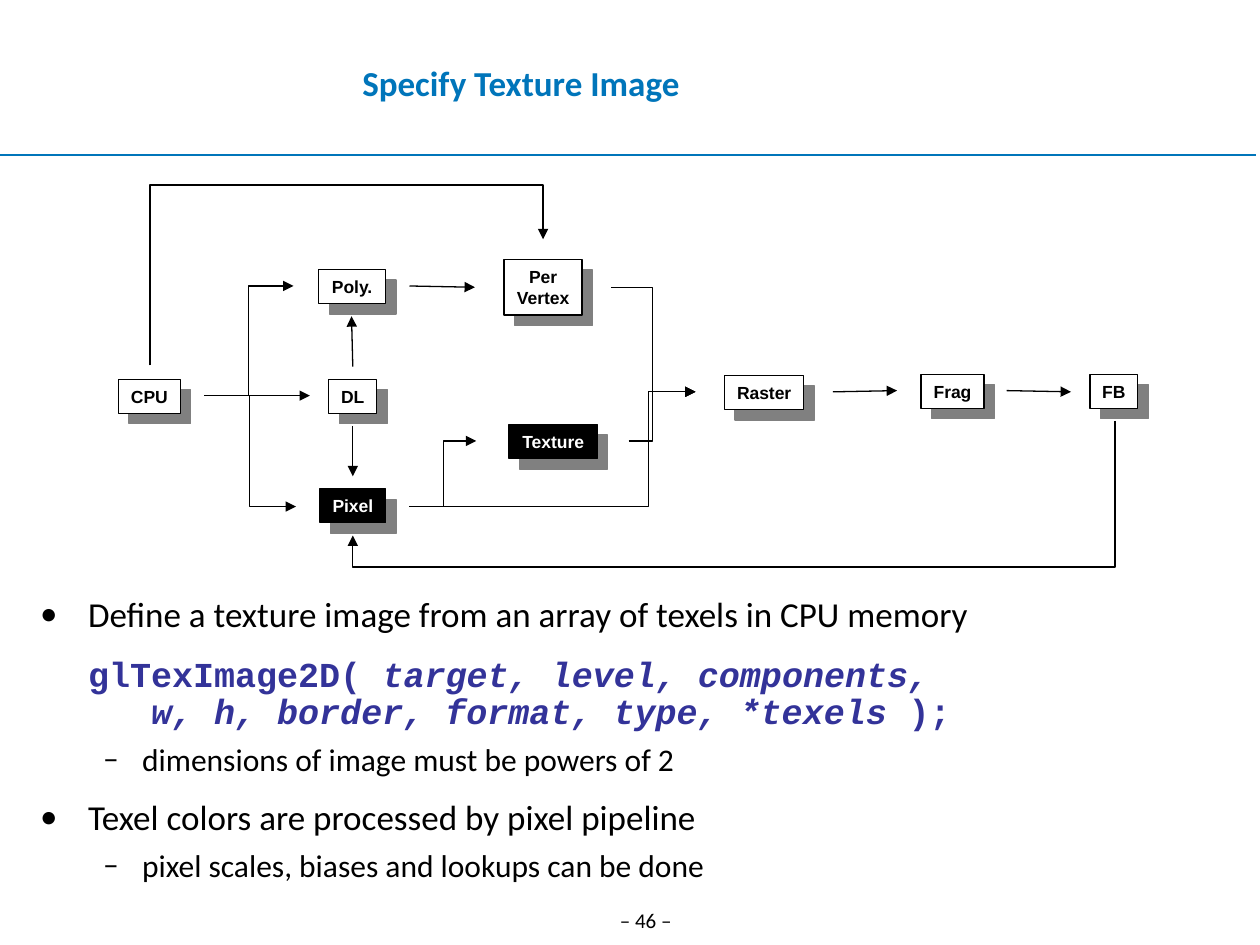
import pptx
import pptx.dml.color
import pptx.enum.shapes
import pptx.enum.text
import pptx.oxml
import pptx.oxml.ns
import pptx.util
from pptx.util import Inches

BLACK, WHITE, BLUE, CODE = "000000", "FFFFFF", "0075BA", "333399"
ALIGN = pptx.enum.text.PP_ALIGN
ANCHOR = pptx.enum.text.MSO_ANCHOR
LINK = pptx.enum.shapes.MSO_CONNECTOR
RECT = pptx.enum.shapes.MSO_SHAPE.RECTANGLE

BOXES = [
    ("CPU", 0.94, 3.01, 0.49, 0.27, WHITE),
    ("DL", 2.61, 3.01, 0.38, 0.27, WHITE),
    ("Poly.", 2.53, 2.14, 0.53, 0.27, WHITE),
    ("Per\nVertex", 4, 2.06, 0.62, 0.44, WHITE),
    ("Raster", 5.75, 2.98, 0.63, 0.27, WHITE),
    ("Frag", 7.31, 2.97, 0.5, 0.27, WHITE),
    ("FB", 8.65, 2.97, 0.38, 0.27, WHITE),
    ("Pixel", 2.54, 3.88, 0.52, 0.27, BLACK),
    ("Texture", 4.04, 3.37, 0.7, 0.27, BLACK),
]
# Start and end points
ARROWS = [
    (1.62, 3.14, 2.46, 3.14),
    (2.8, 2.91, 2.79, 2.51),
    (2.8, 3.38, 2.8, 3.78),
    (3.25, 2.27, 3.77, 2.28),
    (7.99, 3.1, 8.5, 3.11),
    (6.61, 3.11, 7.12, 3.1),
]
# Start and end points, then the x of the upright middle part
BENDS = [
    (1.62, 3.14, 2.33, 2.27, 1.97),
    (1.62, 3.14, 2.35, 4.02, 1.98),
    (3.25, 4.02, 3.78, 3.5, 3.52),
    (3.25, 4.02, 5.52, 3.11, 5.15),
    (4.99, 3.5, 5.52, 3.11, 5.18),
    (4.85, 2.28, 5.52, 3.11, 5.18),
]
# Start and end points, then the y of the level middle part
LOOPS = [
    (1.19, 2.9, 4.31, 1.9, 1.47),
    (8.85, 3.34, 2.8, 4.25, 4.5),
]

HEAD = dict(left=0.38, first=-0.38, mark="•", space=0.9, before=12.5, size=20)
CALL = dict(left=0.38, first=0, mark=None, space=0.9, before=12.5, size=20)
ITEM = dict(left=0.81, first=-0.31, mark="–", space=1.0, before=4.5, size=18)
PLAIN = dict(name="Calibri")
BOLD = dict(name="Courier New", bold=True)
SLANT = dict(BOLD, italic=True)

BODY = [
    (HEAD, BLACK, [("Define a texture image from an array of texels in CPU memory", PLAIN)]),
    (CALL, CODE, [("glTexImage2D( ", BOLD),
                  ("target, level, components,", SLANT),
                  ("\n", None),
                  ("   w, h, border, format, type, *texels", SLANT),
                  (" );", BOLD)]),
    (ITEM, BLACK, [("dimensions of image must be powers of 2", PLAIN)]),
    (HEAD, BLACK, [("Texel colors are processed by pixel pipeline", PLAIN)]),
    (ITEM, BLACK, [("pixel scales, biases and lookups can be done", PLAIN)]),
]


def rgb(code):
    return pptx.dml.color.RGBColor.from_string(code)


def add(node, tag, **attrs):
    """Append a drawing element with its attributes."""
    kid = pptx.oxml.parse_xml(f"<a:{tag} {pptx.oxml.ns.nsdecls('a')}/>")
    for key, val in attrs.items():
        kid.set(key, str(val))
    node.append(kid)
    return kid


def style(font, color, **values):
    for key, val in values.items():
        setattr(font, key, pptx.util.Pt(val) if key == "size" else val)
    font.color.rgb = rgb(color)


def add_text(slide, place, anchor=ANCHOR.TOP):
    frame = slide.shapes.add_textbox(*map(Inches, place)).text_frame
    frame.word_wrap = True
    frame.vertical_anchor = anchor
    return frame


def add_label(slide, place, text, anchor=ANCHOR.TOP, **font):
    """Centred single line of text."""
    para = add_text(slide, place, anchor).paragraphs[0]
    para.alignment = ALIGN.CENTER
    run = para.add_run()
    run.text = text
    style(run.font, name="Calibri", **font)


def add_body(slide):
    frame = add_text(slide, (0.22, 4.69, 8.48, 2.6))
    for num, (form, color, runs) in enumerate(BODY):
        para = frame.add_paragraph() if num else frame.paragraphs[0]
        para.line_spacing = form["space"]
        para.space_before = pptx.util.Pt(form["before"] if num else 0)
        para.level = int(form is ITEM)
        props = para._p.get_or_add_pPr()
        props.set("marL", str(Inches(form["left"])))
        props.set("indent", str(Inches(form["first"])))
        if form["mark"]:
            add(props, "buFont", typeface="Calibri")
            add(props, "buChar", char=form["mark"])
        else:
            add(props, "buNone")
        for text, font in runs:
            if text == "\n":
                para.add_line_break()
                continue
            run = para.add_run()
            run.text = text
            style(run.font, color, size=form["size"], **font)


def add_box(slide, text, left, top, width, height, fill):
    box = slide.shapes.add_shape(RECT, *map(Inches, (left, top, width, height)))
    box.fill.solid()
    box.fill.fore_color.rgb = rgb(fill)
    box.line.color.rgb = rgb(BLACK)
    box.line.width = pptx.util.Pt(0.75)
    box.shadow.inherit = False
    effects = box._element.spPr.find(pptx.oxml.ns.qn("a:effectLst"))
    shade = add(effects, "outerShdw", dist=pptx.util.Pt(8.5), dir=45 * 60000,
                algn="ctr", rotWithShape=0)
    add(shade, "srgbClr", val="808080")
    frame = box.text_frame
    frame.word_wrap = False
    frame.vertical_anchor = ANCHOR.MIDDLE
    frame.text = text
    for para in frame.paragraphs:
        para.alignment = ALIGN.CENTER
        style(para.runs[0].font, BLACK if fill == WHITE else WHITE,
              name="Arial", size=10, bold=True)


def add_line(slide, ends, color=BLACK, kind=LINK.STRAIGHT, arrow=True):
    line = slide.shapes.add_connector(kind, *map(Inches, ends))
    line.line.color.rgb = rgb(color)
    line.line.width = pptx.util.Pt(0.75)
    if arrow:
        add(line.line._ln, "tailEnd", type="triangle")
    add(line._element.spPr, "effectLst")
    return line


def add_bend(slide, ends, share):
    """Elbow arrow that turns at a share of its run."""
    bend = add_line(slide, ends, kind=LINK.ELBOW)
    geom = bend._element.spPr.find(pptx.oxml.ns.qn("a:prstGeom"))
    for old in list(geom):
        geom.remove(old)
    add(add(geom, "avLst"), "gd", name="adj1", fmla=f"val {round(share * 100000)}")
    return bend


def add_loop(slide, x1, y1, x2, y2, mid):
    """Elbow arrow that leaves upright: a level one turned by 90 degrees."""
    cx, cy = (x1 + x2) / 2, (y1 + y2) / 2
    ends = (cx + y1 - cy, cy - x1 + cx, cx + y2 - cy, cy - x2 + cx)
    loop = add_bend(slide, ends, (mid - y1) / (y2 - y1))
    loop._element.spPr.xfrm.set("rot", str(90 * 60000))


def main():
    deck = pptx.Presentation()
    deck.slide_width, deck.slide_height = Inches(10), Inches(7.5)
    slide = deck.slides.add_slide(deck.slide_layouts[6])
    add_line(slide, (0, 1.23, 9.97, 1.23), BLUE, arrow=False)
    add_label(slide, (4.69, 7.15, 0.87, 0.3), "– 46 –", color=BLACK, size=12)
    add_body(slide)
    add_label(slide, (0.2, 0.23, 7.87, 0.85), "Specify Texture Image",
              ANCHOR.MIDDLE, color=BLUE, size=20, bold=True)
    for box in BOXES:
        add_box(slide, *box)
    for ends in ARROWS:
        add_line(slide, ends)
    for x1, y1, x2, y2, mid in BENDS:
        add_bend(slide, (x1, y1, x2, y2), (mid - x1) / (x2 - x1))
    for loop in LOOPS:
        add_loop(slide, *loop)
    deck.save("out.pptx")


if __name__ == "__main__":
    main()
